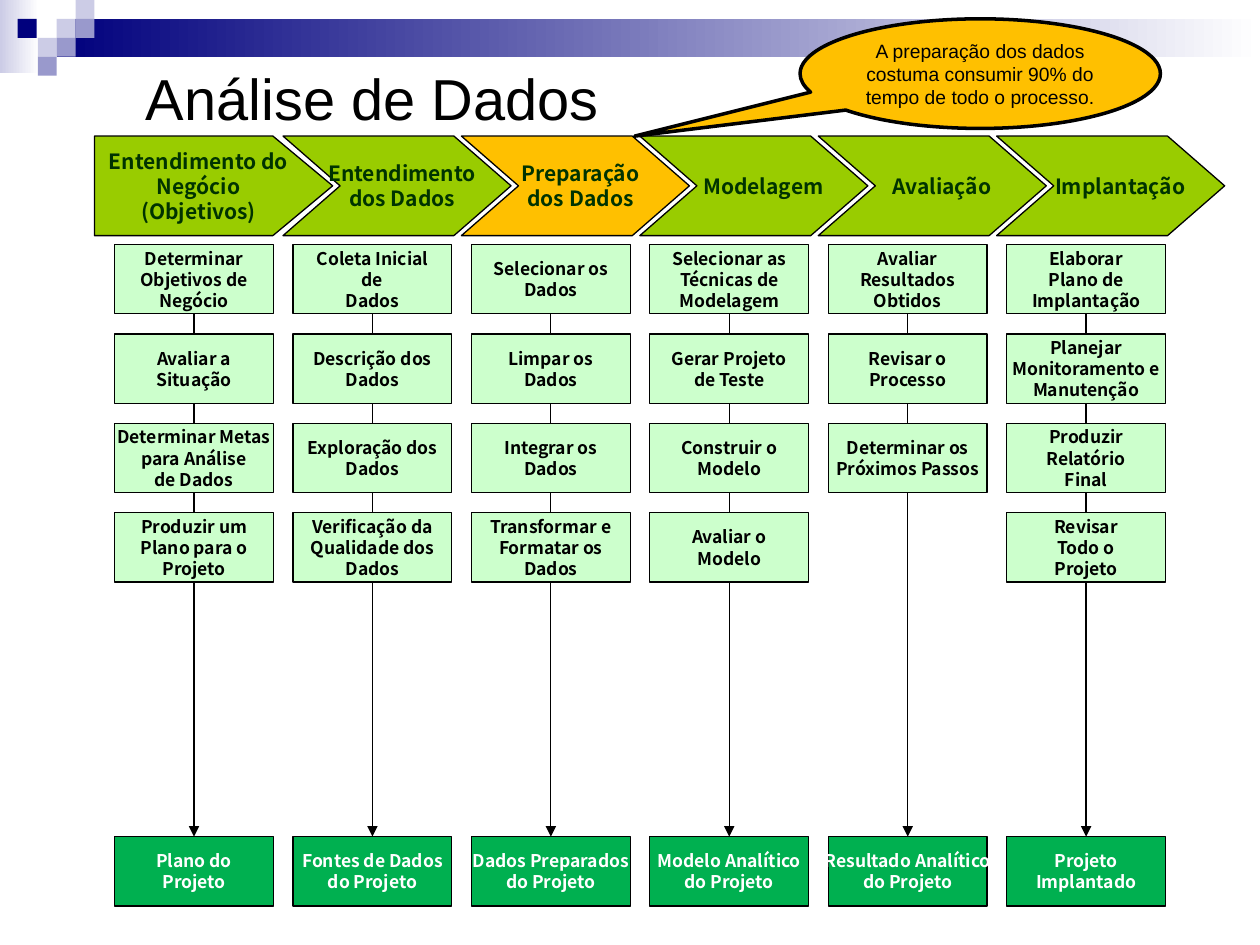
from pptx import Presentation
from pptx.dml.color import RGBColor
from pptx.enum.shapes import MSO_CONNECTOR, MSO_SHAPE as SHAPE
from pptx.enum.text import MSO_ANCHOR, PP_ALIGN as ALIGN
from pptx.oxml.ns import qn
from pptx.util import Inches, Pt
from lxml import etree

NAVY, LILAC, VIOLET, WHITE, BLACK = "00007D", "CCCCE6", "9999CC", "FFFFFF", "000000"
LIME, AMBER, MINT, GREEN, DARK = "99CC00", "FFC000", "CCFFCC", "00B050", "003300"

TITLE = "Análise de Dados"
CALLOUT = "A preparação dos dados costuma consumir 90% do tempo de todo o processo."

# phase, tasks, result
PHASES = [
    ("Entendimento do\nNegócio\n(Objetivos)",
     ["Determinar\nObjetivos de\nNegócio", "Avaliar a\nSituação",
      "Determinar Metas\npara Análise\nde Dados", "Produzir um\nPlano para o\nProjeto"],
     "Plano do\nProjeto"),
    ("Entendimento\ndos Dados",
     ["Coleta Inicial\nde\nDados", "Descrição dos\nDados", "Exploração dos\nDados",
      "Verificação da\nQualidade dos\nDados"],
     "Fontes de Dados\ndo Projeto"),
    ("Preparação\ndos Dados",
     ["Selecionar os\nDados", "Limpar os\nDados", "Integrar os\nDados",
      "Transformar e\nFormatar os\nDados"],
     "Dados Preparados\ndo Projeto"),
    ("Modelagem",
     ["Selecionar as\nTécnicas de\nModelagem", "Gerar Projeto\nde Teste",
      "Construir o\nModelo", "Avaliar o\nModelo"],
     "Modelo Analítico\ndo Projeto"),
    ("Avaliação",
     ["Avaliar\nResultados\nObtidos", "Revisar o\nProcesso",
      "Determinar os\nPróximos Passos"],
     "Resultado Analítico\ndo Projeto"),
    ("Implantação",
     ["Elaborar\nPlano de\nImplantação", "Planejar\nMonitoramento e\nManutenção",
      "Produzir\nRelatório\nFinal", "Revisar\nTodo o\nProjeto"],
     "Projeto\nImplantado"),
]
HIGHLIGHT = 2

BANDS = [  # left, top, width, height, colour, gradient end
    (0, 0, 0.31, 0.58, LILAC, WHITE),
    (0.45, 0.15, 9.55, 0.3, NAVY, WHITE),
]
SQUARES = [
    (0.45, 0.15, LILAC), (0.6, 0, LILAC), (0.6, 0.15, VIOLET), (0.3, 0.3, LILAC),
    (0.14, 0.15, NAVY), (0.45, 0.3, VIOLET), (0.3, 0.45, VIOLET),
]
SQUARE = 0.15

BOX_LEFT, BOX_W, BOX_H, PITCH = 0.91, 1.26, 0.55, 1.416
TASK_TOP, TASK_STEP, RESULT_TOP = 1.94, 0.71, 6.64
PHASE_TOP, PHASE_H = 1.08, 0.79

LABEL = {"name": "Noto Sans CJK KR", "bold": True}
PLAIN = {"name": "Arial"}


def rgb(value):
    return RGBColor.from_string(value)


def write(sp, text, color, size, font, align=ALIGN.CENTER, wrap=False):
    tf = sp.text_frame
    tf.word_wrap = wrap
    tf.vertical_anchor = MSO_ANCHOR.MIDDLE
    for i, line in enumerate(text.split("\n")):
        p = tf.paragraphs[0] if i == 0 else tf.add_paragraph()
        p.alignment = align
        r = p.add_run()
        r.text = line
        for key, value in {**font, "size": Pt(size)}.items():
            setattr(r.font, key, value)
        r.font.color.rgb = rgb(color)


def add_shape(slide, kind, box, fill, line=None, fade=None):
    """Add a preset shape; fade is the end colour of a left-to-right gradient."""
    sp = slide.shapes.add_shape(kind, *map(Inches, box))
    sp.shadow.inherit = False
    if fade:
        sp.fill.gradient()
        sp.fill.gradient_angle = 0
        for stop, color in zip(sp.fill.gradient_stops, (fill, fade)):
            stop.color.rgb = rgb(color)
    else:
        sp.fill.solid()
        sp.fill.fore_color.rgb = rgb(fill)
    if line:
        sp.line.color.rgb = rgb(BLACK)
        sp.line.width = Pt(line)
    else:
        sp.line.fill.background()
    return sp


def add_arrow(slide):
    arrow = slide.shapes.add_connector(MSO_CONNECTOR.STRAIGHT, 0, 0, 0, 0)
    arrow.line.color.rgb = rgb(BLACK)
    arrow.line.width = Pt(0.75)
    etree.SubElement(arrow.line._get_or_add_ln(), qn("a:tailEnd"), type="triangle")
    etree.SubElement(arrow._element.spPr, qn("a:effectLst"))
    return arrow


def add_box(slide, left, top, text, fill, color):
    sp = add_shape(slide, SHAPE.FLOWCHART_PROCESS, (left, top, BOX_W, BOX_H), fill, 0.75)
    write(sp, text, color, 10, LABEL)
    return sp


def add_phase(slide, i, text):
    if i == 0:
        kind, left, width, point, shift = SHAPE.PENTAGON, 0.75, 1.89, 0.6, 0
    else:
        kind, left, width, point = SHAPE.CHEVRON, 0.83 + i * PITCH, 1.81, 0.574
        shift = 0.08 if "\n" in text else 0.15
    sp = add_shape(slide, kind, (left, PHASE_TOP, width, PHASE_H),
                   AMBER if i == HIGHLIGHT else LIME, 0.75)
    sp.adjustments[0] = point
    write(sp, text, DARK, 12, LABEL)
    sp.text_frame.margin_left = Inches(0.1 + shift)


def add_column(slide, i, phase, tasks, result):
    left = BOX_LEFT + i * PITCH
    arrow = add_arrow(slide)  # first, so that the tasks cover it
    add_phase(slide, i, phase)
    boxes = [add_box(slide, left, TASK_TOP + n * TASK_STEP, task, MINT, BLACK)
             for n, task in enumerate(tasks)]
    arrow.begin_connect(boxes[0], 2)
    arrow.end_connect(add_box(slide, left, RESULT_TOP, result, GREEN, WHITE), 0)


def main():
    prs = Presentation()
    prs.slide_width, prs.slide_height = Inches(10), Inches(7.5)
    slide = prs.slides.add_slide(prs.slide_layouts[6])

    for *box, color, fade in BANDS:
        add_shape(slide, SHAPE.RECTANGLE, box, color, fade=fade)
    for left, top, color in SQUARES:
        add_shape(slide, SHAPE.RECTANGLE, (left, top, SQUARE, SQUARE), color)

    title = slide.shapes.add_textbox(*map(Inches, (1.06, 0.46, 8.61, 0.62)))
    write(title, TITLE, BLACK, 33, PLAIN, ALIGN.LEFT, wrap=True)

    for i, column in enumerate(PHASES):
        add_column(slide, i, *column)

    callout = add_shape(slide, SHAPE.OVAL_CALLOUT, (6.35, 0.15, 2.86, 0.87), AMBER, 2)
    callout.adjustments[0], callout.adjustments[1] = -0.959, 0.57
    write(callout, CALLOUT, BLACK, 11, PLAIN, wrap=True)

    prs.save("out.pptx")


if __name__ == "__main__":
    main()
